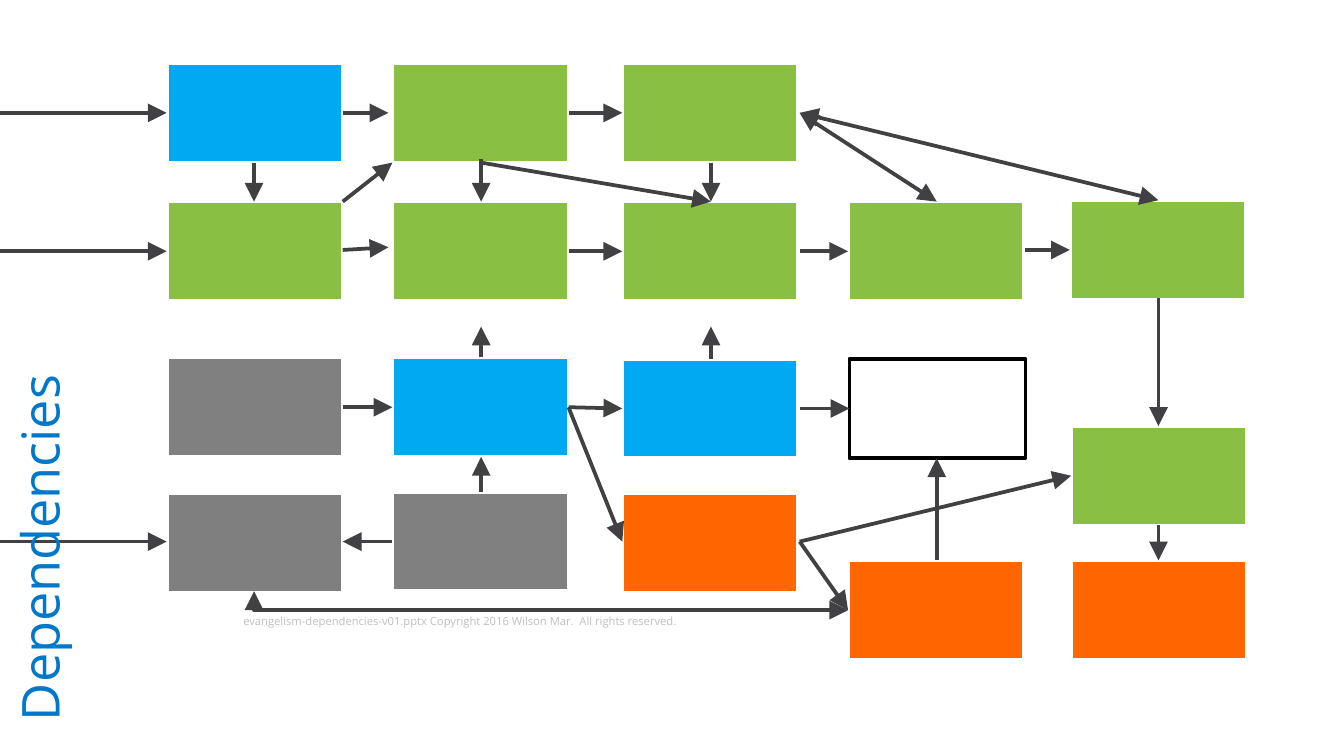
from lxml.etree import SubElement
from pptx import Presentation
from pptx.dml.color import RGBColor
from pptx.enum.shapes import MSO_CONNECTOR, MSO_SHAPE
from pptx.enum.text import MSO_ANCHOR, PP_ALIGN
from pptx.oxml.ns import qn
from pptx.util import Inches, Pt

BLUE = RGBColor(0x00, 0xA9, 0xF2)
GREEN = RGBColor(0x89, 0xBF, 0x42)
ORANGE = RGBColor(0xFF, 0x66, 0x00)
GRAY = RGBColor(0x80, 0x80, 0x80)
DARK_GRAY = RGBColor(0x7F, 0x7F, 0x7F)
WHITE = RGBColor(0xFF, 0xFF, 0xFF)
BLACK = RGBColor(0x00, 0x00, 0x00)
ARROW = RGBColor(0x41, 0x40, 0x42)
TITLE = RGBColor(0x00, 0x78, 0xC9)
CAPTION = RGBColor(0xBF, 0xBF, 0xBF)

BOX_W, BOX_H = 1.31, 0.74

# left, top, fill
STEPS = [
    (1.24, 0.47, BLUE), (2.92, 0.47, GREEN), (4.63, 0.47, GREEN),
    (1.24, 1.5, GREEN), (2.92, 1.5, GREEN), (4.63, 1.5, GREEN),
    (6.31, 1.5, GREEN), (7.96, 1.49, GREEN),
    (1.24, 2.66, GRAY), (2.92, 2.66, BLUE), (4.63, 2.67, BLUE),
    (1.24, 3.67, DARK_GRAY), (2.92, 3.66, GRAY), (4.63, 3.67, ORANGE),
    (7.97, 3.17, GREEN), (6.31, 4.17, ORANGE), (7.97, 4.17, ORANGE),
]
GOAL = (6.32, 2.67, WHITE, BLACK)

# start x, start y, end x, end y
ENTRIES = [(0, y, 1.24, y) for y in (0.84, 1.87, 4.03)]
DEPENDENCIES = [
    (2.55, 0.84, 2.89, 0.84), (4.23, 0.84, 4.63, 0.84),
    (1.89, 1.21, 1.89, 1.5), (3.58, 1.18, 3.58, 1.5),
    (5.29, 1.21, 5.29, 1.5), (3.58, 1.21, 5.29, 1.5),
    (2.55, 1.5, 2.92, 1.21), (2.55, 1.86, 2.89, 1.84),
    (4.23, 1.87, 4.63, 1.87), (5.95, 1.87, 6.31, 1.87),
    (7.63, 1.86, 7.96, 1.86), (8.62, 2.22, 8.62, 3.17),
    (3.58, 2.66, 3.58, 2.43), (5.29, 2.67, 5.29, 2.43),
    (2.55, 3.03, 2.92, 3.03), (4.23, 3.03, 4.63, 3.04),
    (4.23, 3.03, 4.63, 4.03), (5.95, 3.04, 6.32, 3.04),
    (3.58, 3.66, 3.58, 3.4), (2.92, 4.03, 2.55, 4.03),
    (5.95, 4.03, 6.31, 4.54), (5.95, 4.03, 7.97, 3.54),
    (6.97, 4.17, 6.97, 3.41), (8.62, 3.91, 8.62, 4.17),
]
MUTUAL = [(5.95, 0.84, 6.97, 1.5), (5.95, 0.84, 8.62, 1.49)]


def add_step(slide, left, top, fill, outline=WHITE):
    """Add one box of the dependency map."""
    step = slide.shapes.add_shape(
        MSO_SHAPE.RECTANGLE, Inches(left), Inches(top),
        Inches(BOX_W), Inches(BOX_H))
    step.shadow.inherit = False
    step.fill.solid()
    step.fill.fore_color.rgb = fill
    step.line.color.rgb = outline
    step.line.width = Pt(2)


def add_arrow(slide, points, ends=("tailEnd",), kind=MSO_CONNECTOR.STRAIGHT):
    """Add a connector with large triangle heads at the given ends."""
    arrow = slide.shapes.add_connector(kind, *map(Inches, points))
    arrow.line.color.rgb = ARROW
    arrow.line.width = Pt(2)
    properties = arrow.element.spPr
    for end in ends:
        SubElement(properties.find(qn("a:ln")), qn("a:" + end),
                   type="triangle", w="lg", len="lg")
    SubElement(properties, qn("a:effectLst"))
    return arrow


def add_feedback(slide):
    """Add the two-headed arrow with one corner below the bottom row."""
    feedback = add_arrow(slide, (4.17, 2.26, 4.03, 6.68),
                         ("headEnd", "tailEnd"), MSO_CONNECTOR.ELBOW)
    properties = feedback.element.spPr
    properties.find(qn("a:xfrm")).set("rot", str(270 * 60000))
    properties.find(qn("a:prstGeom")).set("prst", "bentConnector2")


def write_label(label, text, color, size, **margins):
    """Write one left-aligned line at the top of a shape."""
    frame = label.text_frame
    frame_format = {"word_wrap": True, "vertical_anchor": MSO_ANCHOR.TOP, **margins}
    for name, value in frame_format.items():
        setattr(frame, name, value)
    paragraph = frame.paragraphs[0]
    paragraph.alignment = PP_ALIGN.LEFT
    run = paragraph.add_run()
    run.text = text
    for name, value in {"name": "Open Sans", "size": Pt(size)}.items():
        setattr(run.font, name, value)
    run.font.color.rgb = color


def add_title(slide):
    """Add the heading that runs up the left edge."""
    title = slide.shapes.add_textbox(
        Inches(-2.28), Inches(2.52), Inches(5.18), Inches(0.51))
    title.rotation = 270
    write_label(title, "Dependencies", TITLE, 28, margin_left=0,
                margin_right=0, margin_top=0, margin_bottom=0)


def add_caption(slide):
    """Add the copyright line in an unfilled pill."""
    caption = slide.shapes.add_shape(
        MSO_SHAPE.ROUNDED_RECTANGLE, Inches(1.68), Inches(4.49),
        Inches(4.19), Inches(0.22))
    caption.adjustments[0] = 0.5
    caption.shadow.inherit = False
    caption.fill.background()
    caption.line.fill.background()
    write_label(
        caption,
        "evangelism-dependencies-v01.pptx Copyright 2016 Wilson Mar.  All rights reserved.",
        CAPTION, 6)


def main():
    """Build the dependency map and save it."""
    deck = Presentation()
    deck.slide_width = Inches(10)
    deck.slide_height = deck.slide_width * 9 // 16
    slide = deck.slides.add_slide(deck.slide_layouts[6])
    for step in STEPS + [GOAL]:
        add_step(slide, *step)
    for points in ENTRIES + DEPENDENCIES:
        add_arrow(slide, points)
    for points in MUTUAL:
        add_arrow(slide, points, ("headEnd", "tailEnd"))
    add_feedback(slide)
    add_title(slide)
    add_caption(slide)
    deck.save("out.pptx")


main()
